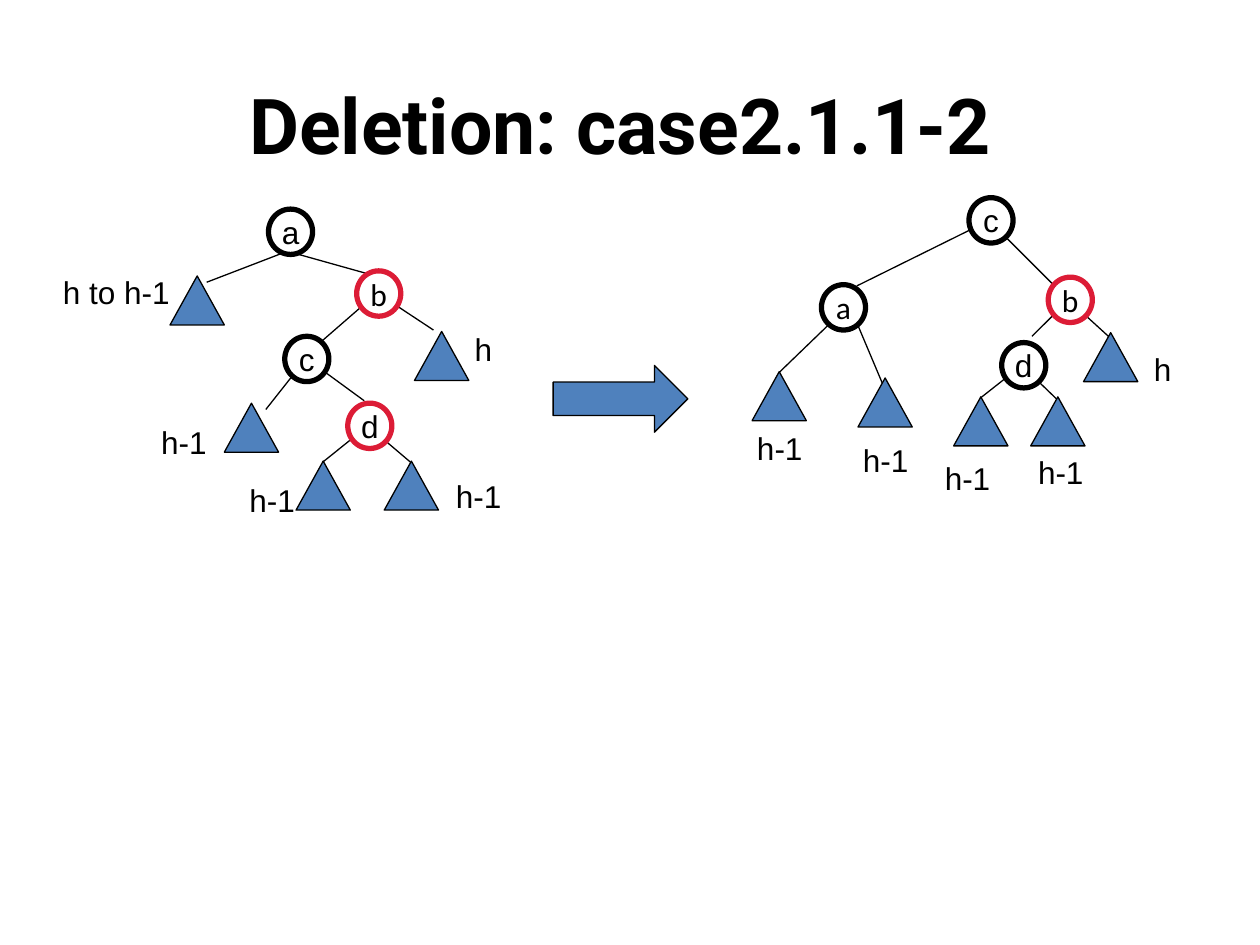
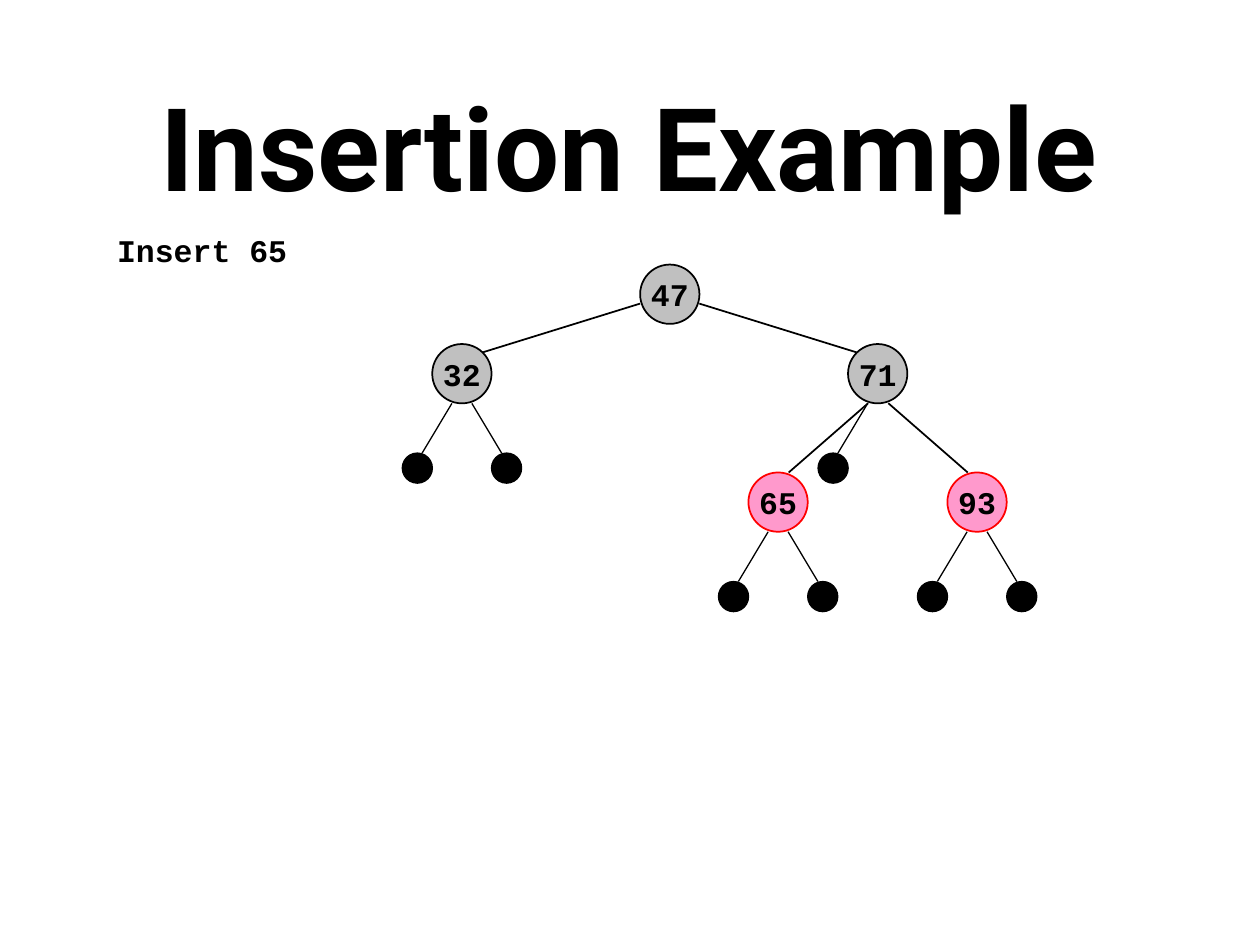
from lxml import etree
from pptx import Presentation
from pptx.dml.color import RGBColor
from pptx.enum.shapes import MSO_CONNECTOR, MSO_SHAPE
from pptx.enum.text import MSO_ANCHOR, MSO_AUTO_SIZE, PP_ALIGN
from pptx.oxml.ns import qn
from pptx.util import Pt

BLACK = RGBColor(0x00, 0x00, 0x00)
WHITE = RGBColor(0xFF, 0xFF, 0xFF)
BLUE = RGBColor(0x4F, 0x81, 0xBD)
CRIMSON = RGBColor(0xDC, 0x1C, 0x36)
GRAY = RGBColor(0xC0, 0xC0, 0xC0)
PINK = RGBColor(0xFF, 0x99, 0xCC)
RED = RGBColor(0xFF, 0x00, 0x00)


def write(shape, text, font="Arial", size=18, bold=False, align=PP_ALIGN.CENTER,
          anchor=MSO_ANCHOR.MIDDLE, wrap=False, inset=0):
    frame = shape.text_frame
    frame.word_wrap = wrap
    frame.auto_size = MSO_AUTO_SIZE.NONE
    frame.vertical_anchor = anchor
    frame.margin_left = frame.margin_right = Pt(inset)
    frame.margin_top = frame.margin_bottom = Pt(inset / 2)
    paragraph = frame.paragraphs[0]
    paragraph.alignment = align
    run = paragraph.add_run()
    run.text = text
    run.font.name = font
    run.font.size = Pt(size)
    run.font.bold = bold
    run.font.color.rgb = BLACK


def draw(slide, kind, left, top, width, height, fill, line=BLACK, weight=0.75):
    shape = slide.shapes.add_shape(kind, Pt(left), Pt(top), Pt(width), Pt(height))
    shape.shadow.inherit = False
    shape.fill.solid()
    shape.fill.fore_color.rgb = fill
    shape.line.color.rgb = line
    shape.line.width = Pt(weight)
    return shape


presentation = Presentation()
presentation.slide_width, presentation.slide_height = Pt(720), Pt(540)

# Slides and titles
slides = []
for text, size, left, top in [("Deletion: case2.1.1-2 ", 44, 36, 25.9),
                              ("Insertion Example", 66, 35.3, 38.2)]:
    slide = presentation.slides.add_slide(presentation.slide_layouts[5])
    title = slide.shapes.title
    title.left, title.top, title.width, title.height = Pt(left), Pt(top), Pt(648), Pt(90)
    write(title, text, font="Roboto", size=size, bold=True, wrap=True, inset=7.2)
    slides.append(slide)
deletion, insertion = slides

# Edges of the deletion trees: a parent point and its two child points
branches = [
    ((164.2, 143.6), (118.1, 161.3), (214.6, 157.7)),
    ((215.6, 167.4), (182.9, 195.8), (247.7, 188.6)),
    ((175, 204.8), (151.9, 234), (208.1, 229)),
    ((210.2, 243.4), (184.3, 264.2), (234.7, 264.2)),
    ((565.2, 126), (489.6, 163.4), (610.6, 171.4)),
    ((485.3, 174.2), (445, 213.1), (506.9, 225.4)),
    ((610.6, 171.4), (589.7, 192.2), (634.3, 193)),
    ((583.9, 208.8), (560.2, 227.5), (604.8, 229)),
]
edges = [(deletion, parent, child, 0.75)
         for parent, *children in branches for child in children]

# Insertion tree: key, left, top, fill, line, sides with an empty leaf
KEY_SIZE, LEAF_SIZE = 33.9, 17.2
keys = [
    ("47", 365.8, 151.2, GRAY, BLACK, ()),
    ("71", 484.6, 196.6, GRAY, BLACK, (-1,)),
    ("32", 247, 196.6, GRAY, BLACK, (-1, 1)),
    ("65", 427.7, 270, PINK, RED, (-1, 1)),
    ("93", 541.4, 270, PINK, RED, (-1, 1)),
]
edges += [
    (insertion, (365.8, 173.5), (275, 201.6), 1),
    (insertion, (399.6, 173.5), (490.3, 201.6), 1),
    (insertion, (496.1, 230.4), (450.7, 270), 1),
    (insertion, (507.6, 230.4), (553, 270), 1),
]
leaves = []
for key, left, top, fill, line, sides in keys:
    center, leaf_top = left + KEY_SIZE / 2, top + 62.3
    for side in sides:
        edges.append((insertion, (center + side * 5.7, top + KEY_SIZE),
                      (center + side * 22.7, leaf_top), 0.75))
        leaves.append((center + side * 25.5 - LEAF_SIZE / 2, leaf_top))

for slide, start, end, weight in edges:
    edge = slide.shapes.add_connector(MSO_CONNECTOR.STRAIGHT, *map(Pt, start + end))
    edge.line.color.rgb = BLACK
    edge.line.width = Pt(weight)
    etree.SubElement(edge._element.spPr, qn("a:effectLst"))

# Deletion: nodes
for name, left, top, line, font in [
    ("a", 153.4, 119.5, BLACK, "Arial"),
    ("b", 203.8, 154.8, CRIMSON, "Calibri"),
    ("c", 162.7, 192.2, BLACK, "Arial"),
    ("d", 198.7, 230.4, CRIMSON, "Arial"),
    ("c", 553.7, 113, BLACK, "Arial"),
    ("b", 599, 158.4, CRIMSON, "Calibri"),
    ("a", 469.4, 162.7, BLACK, "Calibri"),
    ("d", 572.4, 195.8, BLACK, "Arial"),
]:
    node = draw(deletion, MSO_SHAPE.OVAL, left, top, 25.2, 25.9, WHITE, line, 3)
    write(node, name, font=font)

# Deletion: subtrees and the arrow between the trees
for left, top in [(97.2, 157.7), (236.9, 189.4), (128.2, 230.4), (169.2, 263.5),
                  (219.6, 263.5), (429.8, 212.4), (490.3, 216), (545, 226.8),
                  (589, 226.8), (619.2, 190.1)]:
    draw(deletion, MSO_SHAPE.FLOWCHART_EXTRACT, left, top, 31, 28, BLUE)
draw(deletion, MSO_SHAPE.RIGHT_ARROW, 316.1, 208.8, 77, 38.2, BLUE)

# Text labels
for slide, text, left, top, width, font in [
    (deletion, "h to h-1", 28.8, 152.6, 75.6, "Arial"),
    (deletion, "h", 264.2, 185, 24.5, "Arial"),
    (deletion, "h-1", 85, 238.3, 40.3, "Arial"),
    (deletion, "h-1", 135.4, 271.4, 40.3, "Arial"),
    (deletion, "h-1", 253.4, 269.3, 40.3, "Arial"),
    (deletion, "h-1", 425.5, 241.9, 40.3, "Arial"),
    (deletion, "h-1", 486, 248.4, 40.3, "Arial"),
    (deletion, "h-1", 532.8, 258.5, 40.3, "Arial"),
    (deletion, "h-1", 586.1, 255.6, 40.3, "Arial"),
    (deletion, "h", 652.3, 196.6, 24.5, "Arial"),
    (insertion, "Insert 65", 59.8, 128.2, 187.2, "Courier New"),
]:
    label = slide.shapes.add_textbox(Pt(left), Pt(top), Pt(width), Pt(28.8))
    write(label, text, font=font, bold=slide is insertion, align=PP_ALIGN.LEFT,
          anchor=MSO_ANCHOR.TOP, wrap=slide is insertion, inset=7.2)

# Insertion: keys and leaves
for key, left, top, fill, line, sides in keys:
    node = draw(insertion, MSO_SHAPE.OVAL, left, top, KEY_SIZE, KEY_SIZE, fill, line, 1)
    write(node, key, font="Courier New", bold=True)
for left, top in leaves:
    draw(insertion, MSO_SHAPE.OVAL, left, top, LEAF_SIZE, LEAF_SIZE, BLACK)

presentation.save("out.pptx")
